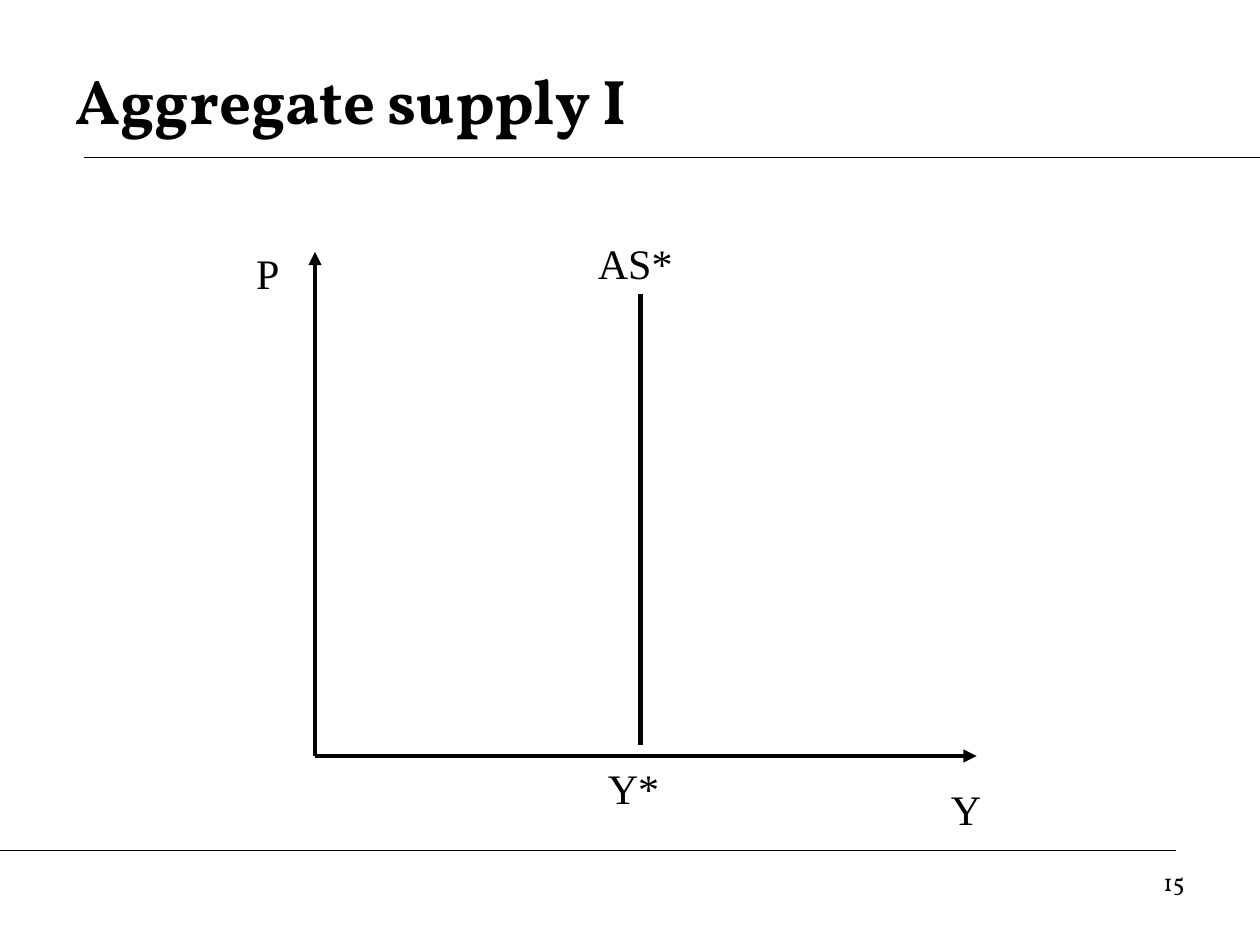
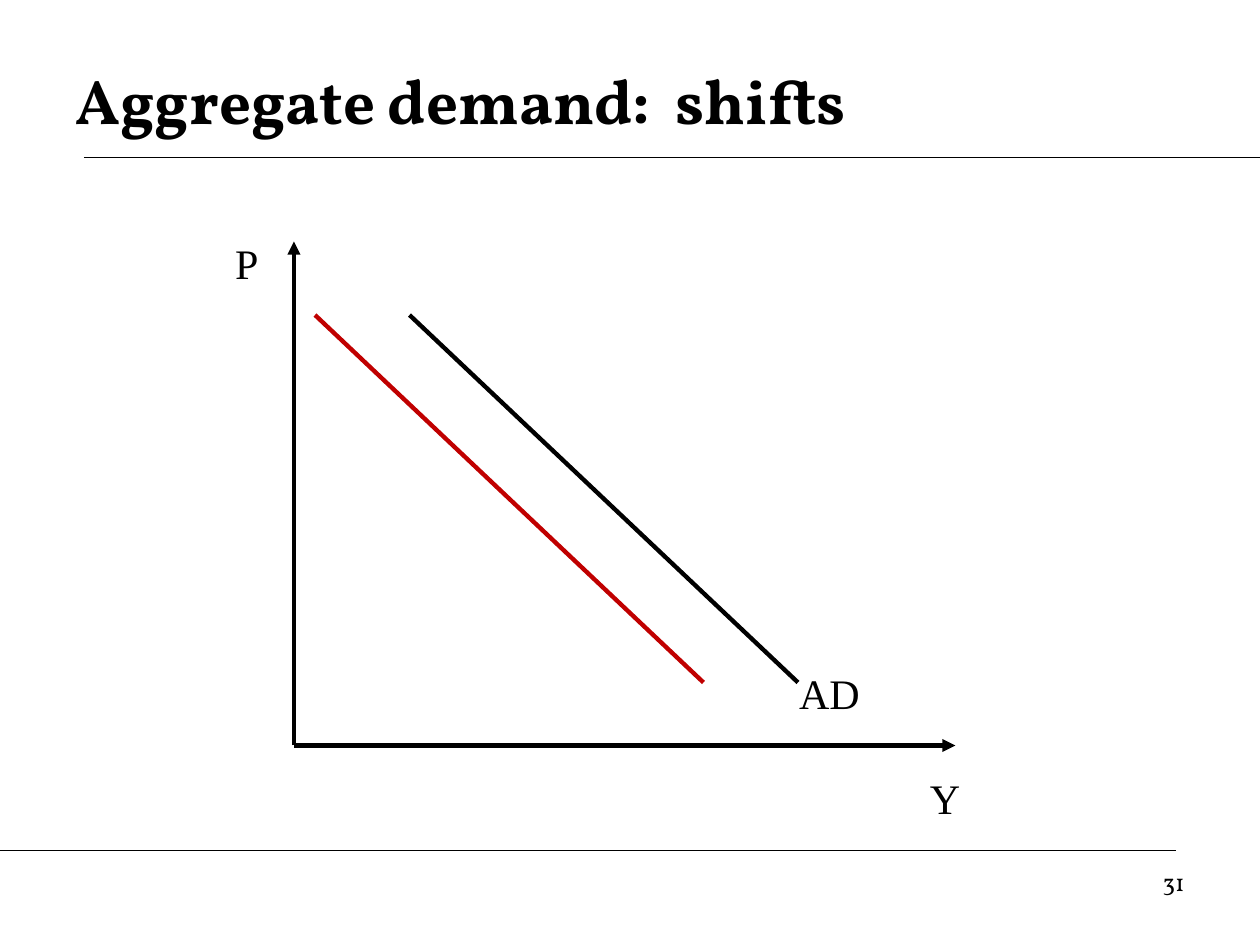
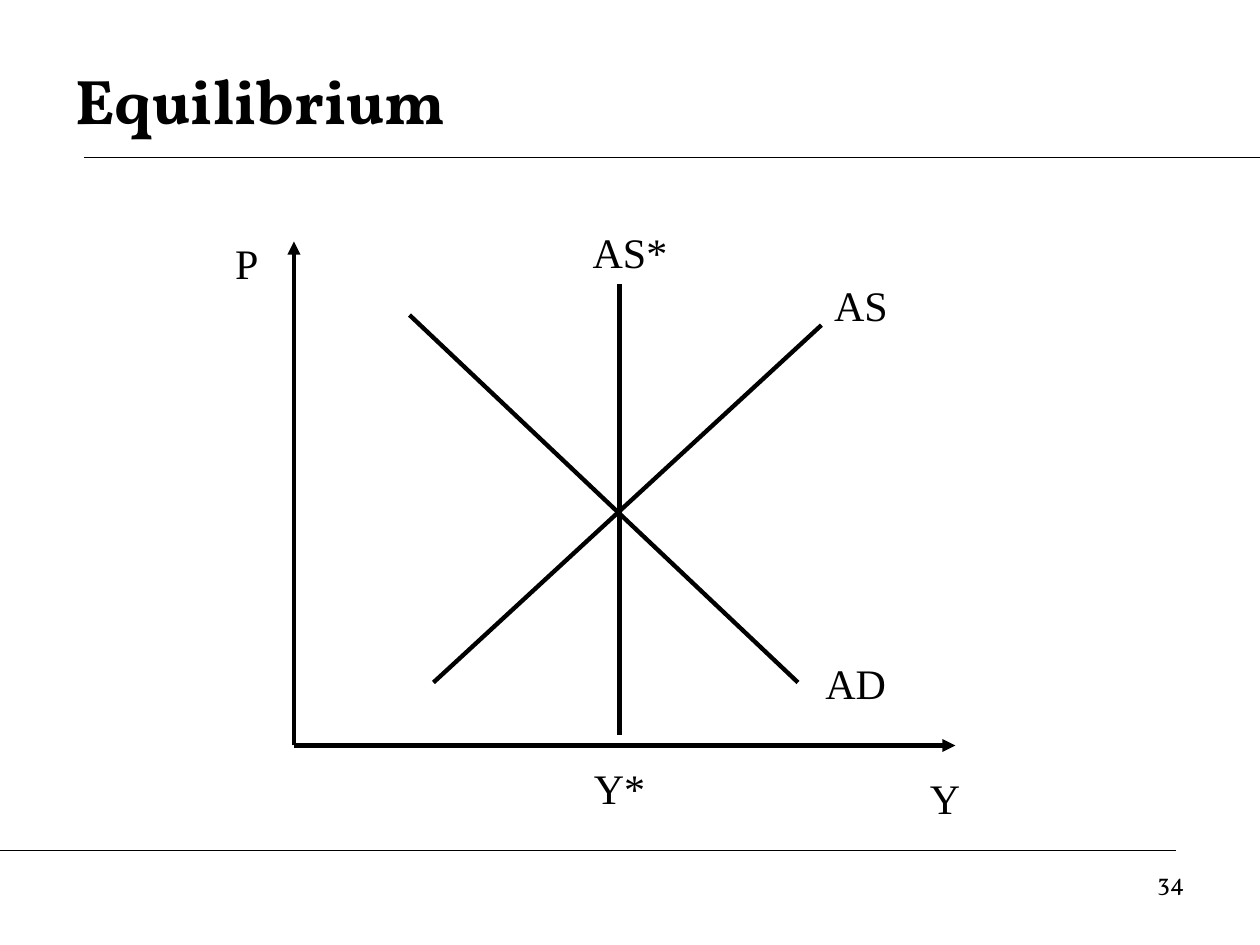
from lxml import etree
from pptx import Presentation
from pptx.dml.color import RGBColor
from pptx.enum import shapes, text
from pptx.oxml import ns
from pptx.util import Pt

COLORS = {"ink": "000000", "shifted": "C00000"}
TITLE_FONT = "Vollkorn"
LABEL_FONT = "Times New Roman"
DEMAND = ((288, -36), (66, -246))
SHIFTED_DEMAND = ((234, -36), (12, -246))
SUPPLY = ((79.7, -36), (301.4, -240.2))
LONG_RUN_SUPPLY = ((186, -6), (186, -264))


class Diagrams:
    """Draws economic diagrams, with curves and labels measured from the origin of the axes."""

    def __init__(self):
        self.deck = Presentation()
        self.deck.slide_width, self.deck.slide_height = Pt(720), Pt(540)
        self.page = None
        self.origin = (0, 0)

    def start(self, title, number, origin):
        self.page = self.deck.slides.add_slide(self.deck.slide_layouts[6])
        self.origin = origin
        self.line((48, 90), (720, 90), width=0.75)
        self.line((0, 486), (672, 486), width=0.75)
        self.text_box(title, 36, 24, 648, 66, 36, TITLE_FONT, bold=True,
                      anchor=text.MSO_ANCHOR.MIDDLE)
        self.text_box(number, 516, 492, 168, 37, 14, TITLE_FONT,
                      align=text.PP_ALIGN.RIGHT)
        self.curve((0, 0), (378, 0), arrow=True)
        self.curve((0, 0), (0, -288), arrow=True)
        self.label("Y", 372, 12)
        self.label("P", -27, -294)

    def text_box(self, words, left, top, width, height, size, font, bold=False,
                 align=text.PP_ALIGN.LEFT, anchor=text.MSO_ANCHOR.TOP):
        box = self.page.shapes.add_textbox(Pt(left), Pt(top), Pt(width), Pt(height))
        frame = box.text_frame
        frame.word_wrap = True
        frame.vertical_anchor = anchor
        frame.text = words
        para = frame.paragraphs[0]
        para.alignment = align
        for span in para.runs:
            span.font.name = font
            span.font.size = Pt(size)
            span.font.bold = bold
            span.font.color.rgb = RGBColor.from_string(COLORS["ink"])

    def line(self, start, end, color="ink", width=2.5, arrow=False):
        stroke = self.page.shapes.add_connector(
            shapes.MSO_CONNECTOR.STRAIGHT, *(Pt(value) for value in (*start, *end)))
        stroke.line.color.rgb = RGBColor.from_string(COLORS[color])
        stroke.line.width = Pt(width)
        properties = stroke._element.spPr
        if arrow:
            outline = properties.find(ns.qn("a:ln"))
            etree.SubElement(outline, ns.qn("a:tailEnd"), type="triangle")
        etree.SubElement(properties, ns.qn("a:effectLst"))

    def place(self, point):
        return tuple(base + shift for base, shift in zip(self.origin, point))

    def curve(self, start, end, color="ink", arrow=False):
        self.line(self.place(start), self.place(end), color, arrow=arrow)

    def label(self, words, center, top, width=66):
        middle, edge = self.place((center, top))
        self.text_box(words, middle - width / 2, edge, width, 36, 24, LABEL_FONT,
                      align=text.PP_ALIGN.CENTER)


def main():
    draw = Diagrams()

    draw.start("Aggregate supply I", "15", (180, 432))
    draw.curve(*LONG_RUN_SUPPLY)
    draw.label("AS*", 183, -300, 90)
    draw.label("Y*", 182, 0)

    draw.start("Aggregate demand:  shifts", "31", (168, 426))
    draw.label("AD", 306, -48)
    draw.curve(*DEMAND)
    draw.curve(*SHIFTED_DEMAND, color="shifted")

    draw.start("Equilibrium", "34", (168, 426))
    draw.curve(*SUPPLY)
    draw.label("AS", 324, -270)
    draw.label("AD", 321, -54)
    draw.curve(*DEMAND)
    draw.curve(*LONG_RUN_SUPPLY)
    draw.label("AS*", 192, -300, 84)
    draw.label("Y*", 186, 6)

    draw.deck.save("out.pptx")


if __name__ == "__main__":
    main()
